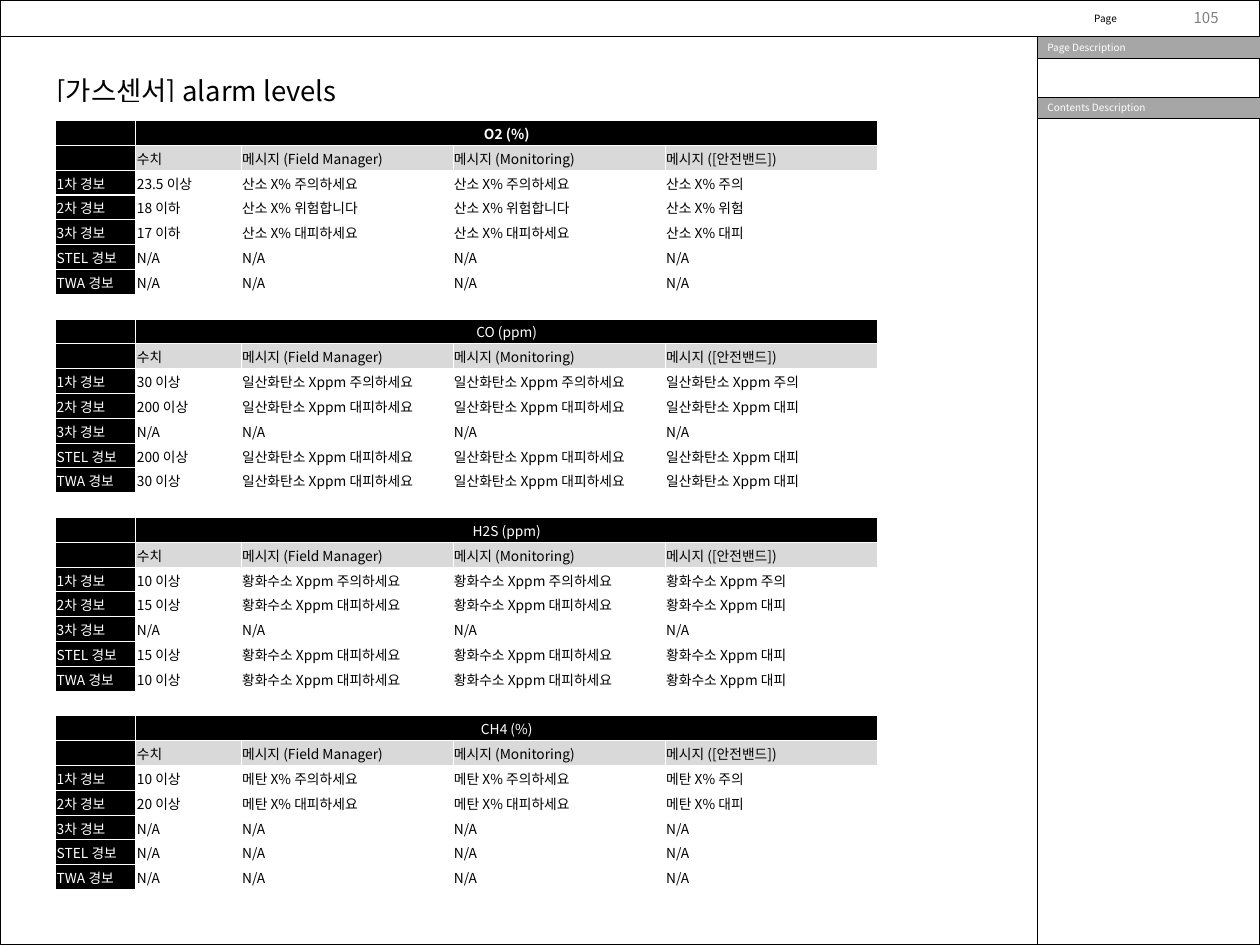
from lxml.etree import SubElement
from pptx import Presentation
from pptx.dml.color import RGBColor
from pptx.enum.shapes import MSO_SHAPE as Shape
from pptx.enum.text import MSO_ANCHOR as Anchor, PP_ALIGN as Align
from pptx.oxml.ns import qn
from pptx.util import Pt

FONT = "Noto Sans CJK KR"
BLACK, WHITE, GREY, LIGHT = "000000", "FFFFFF", "A6A6A6", "D9D9D9"
PANEL_X, PANEL_W, HEADER_H = 830, 178, 29.5
COLUMNS = [64.2, 84.2, 169.5, 169.8, 169.8]
TITLE_H, GAP_H, ROW_H = 27.4, 14.4, 19.86
BLOCK_ROWS = 8
HEADINGS = ["수치", "메시지 (Field Manager)", "메시지 (Monitoring)", "메시지 ([안전밴드])"]
ALARMS = ["1차 경보", "2차 경보", "3차 경보", "STEL 경보", "TWA 경보"]
REQUESTS = {"주의": "주의하세요", "위험": "위험합니다", "대피": "대피하세요"}
GASES = [
    ("O2 (%)", "산소 X%",
     [("23.5 이상", "주의"), ("18 이하", "위험"), ("17 이하", "대피"), None, None]),
    ("CO (ppm)", "일산화탄소 Xppm",
     [("30 이상", "주의"), ("200 이상", "대피"), None, ("200 이상", "대피"), ("30 이상", "대피")]),
    ("H2S (ppm)", "황화수소 Xppm",
     [("10 이상", "주의"), ("15 이상", "대피"), None, ("15 이상", "대피"), ("10 이상", "대피")]),
    ("CH4 (%)", "메탄 X%",
     [("10 이상", "주의"), ("20 이상", "대피"), None, None, None]),
]


def rgb(color):
    return RGBColor.from_string(color)


def write(tf, text, size, color, align=Align.LEFT, bold=False):
    p = tf.paragraphs[0]
    if text:
        p.add_run().text = text
    p.alignment = align
    p.font.size = Pt(size)
    p.font.bold = bold
    p.font.color.rgb = rgb(color)
    p.font.name = FONT
    SubElement(p._p.pPr.find(qn("a:defRPr")), qn("a:ea"), typeface=FONT)


def add_box(slide, x, y, w, h, fill=None, label=None):
    sp = slide.shapes.add_shape(Shape.RECTANGLE, Pt(x), Pt(y), Pt(w), Pt(h))
    sp.shadow.inherit = False
    if fill:
        sp.fill.solid()
        sp.fill.fore_color.rgb = rgb(fill)
    else:
        sp.fill.background()
    sp.line.color.rgb = rgb(BLACK)
    sp.line.width = Pt(0.75)
    if label:
        tf = sp.text_frame
        tf.word_wrap = False
        tf.vertical_anchor = Anchor.MIDDLE
        tf.margin_left = tf.margin_right = Pt(7.9)
        write(tf, label, 8, WHITE)


def add_text(slide, x, y, w, h, text, size, color, align=Align.LEFT):
    tf = slide.shapes.add_textbox(Pt(x), Pt(y), Pt(w), Pt(h)).text_frame
    tf.word_wrap = True
    write(tf, text, size, color, align)
    return tf


def set_borders(cell, color):
    tc_pr = cell._tc.get_or_add_tcPr()
    for side in ("lnL", "lnR", "lnT", "lnB"):
        ln = SubElement(tc_pr, qn(f"a:{side}"), w=str(Pt(1)))
        SubElement(SubElement(ln, qn("a:solidFill")), qn("a:srgbClr"), val=color)


def set_cell(cell, text="", fill=WHITE, color=BLACK, size=11, align=Align.LEFT, bold=False):
    set_borders(cell, WHITE)
    cell.fill.solid()
    cell.fill.fore_color.rgb = rgb(fill)
    cell.vertical_anchor = Anchor.MIDDLE
    cell.margin_left = cell.margin_right = cell.margin_top = Pt(0.75)
    cell.margin_bottom = Pt(0)
    write(cell.text_frame, text, size if text else 8, color, align, bold)


def fill_row(table, row, texts, fills, colors):
    for col, (text, fill, color) in enumerate(zip(texts, fills, colors)):
        set_cell(table.cell(row, col), text, fill, color)


def fill_blank(table, row):
    fill_row(table, row, [""] * 5, [WHITE] * 5, [BLACK] * 5)


def fill_gas(table, top, name, reading, levels):
    set_cell(table.cell(top, 0), fill=BLACK)
    for col in range(1, 5):
        set_cell(table.cell(top, col), name if col == 1 else "", BLACK, WHITE,
                 align=Align.CENTER, bold=top == 2)
    table.cell(top, 1).merge(table.cell(top, 4))
    colors = [WHITE] + [BLACK] * 4
    fill_row(table, top + 1, [""] + HEADINGS, [BLACK] + [LIGHT] * 4, colors)
    for row, (alarm, level) in enumerate(zip(ALARMS, levels), top + 2):
        values = ["N/A"] * 4
        if level:
            limit, action = level
            request = f"{reading} {REQUESTS[action]}"
            values = [limit, request, request, f"{reading} {action}"]
        fill_row(table, row, [alarm] + values, [BLACK] + [WHITE] * 4, colors)


def add_alarm_table(slide):
    heights = [TITLE_H, GAP_H] + [ROW_H] * (BLOCK_ROWS * len(GASES) - 1)
    table = slide.shapes.add_table(len(heights), len(COLUMNS), Pt(44.6), Pt(54.7),
                                   Pt(sum(COLUMNS)), Pt(sum(heights))).table
    table.first_row = table.horz_banding = False
    for column, width in zip(table.columns, COLUMNS):
        column.width = Pt(width)
    for row, height in zip(table.rows, heights):
        row.height = Pt(height)
    fill_blank(table, 1)
    for col in range(5):
        set_cell(table.cell(0, col), "" if col else "[가스센서] alarm levels", size=22)
    table.cell(0, 0).merge(table.cell(0, 2))
    for i, gas in enumerate(GASES):
        top = 2 + i * BLOCK_ROWS
        if i:
            fill_blank(table, top - 1)
        fill_gas(table, top, *gas)


def main():
    prs = Presentation()
    prs.slide_width, prs.slide_height = Pt(1008), Pt(756)
    slide = prs.slides.add_slide(prs.slide_layouts[6])
    add_box(slide, PANEL_X, 0, PANEL_W, 756, WHITE)
    add_box(slide, 0, 0, 1008, 756)
    add_box(slide, PANEL_X, HEADER_H, PANEL_W, 17.3, GREY, "Page Description")
    add_box(slide, PANEL_X, 77.7, PANEL_W, 17.3, GREY, "Contents Description")
    add_box(slide, 0, 0, 1008, HEADER_H, WHITE)
    tf = add_text(slide, 933.8, 2.2, 49.7, 18.7, "105", 12, "808080", Align.RIGHT)
    tf.margin_left = tf.margin_right = Pt(8.6)
    tf.margin_top = tf.margin_bottom = Pt(4.3)
    add_text(slide, 868.3, 6.5, 94.3, 17.3, "Page", 8, BLACK)
    add_alarm_table(slide)
    prs.save("out.pptx")


if __name__ == "__main__":
    main()
